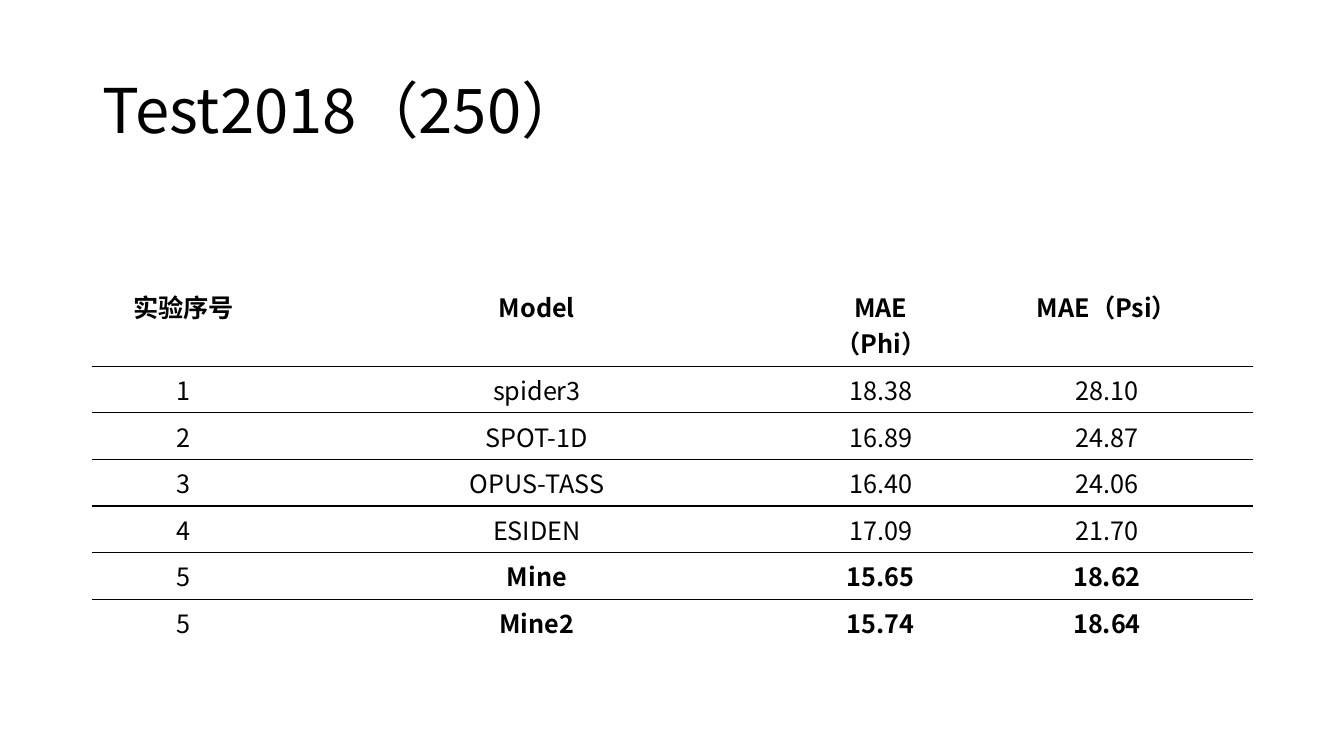
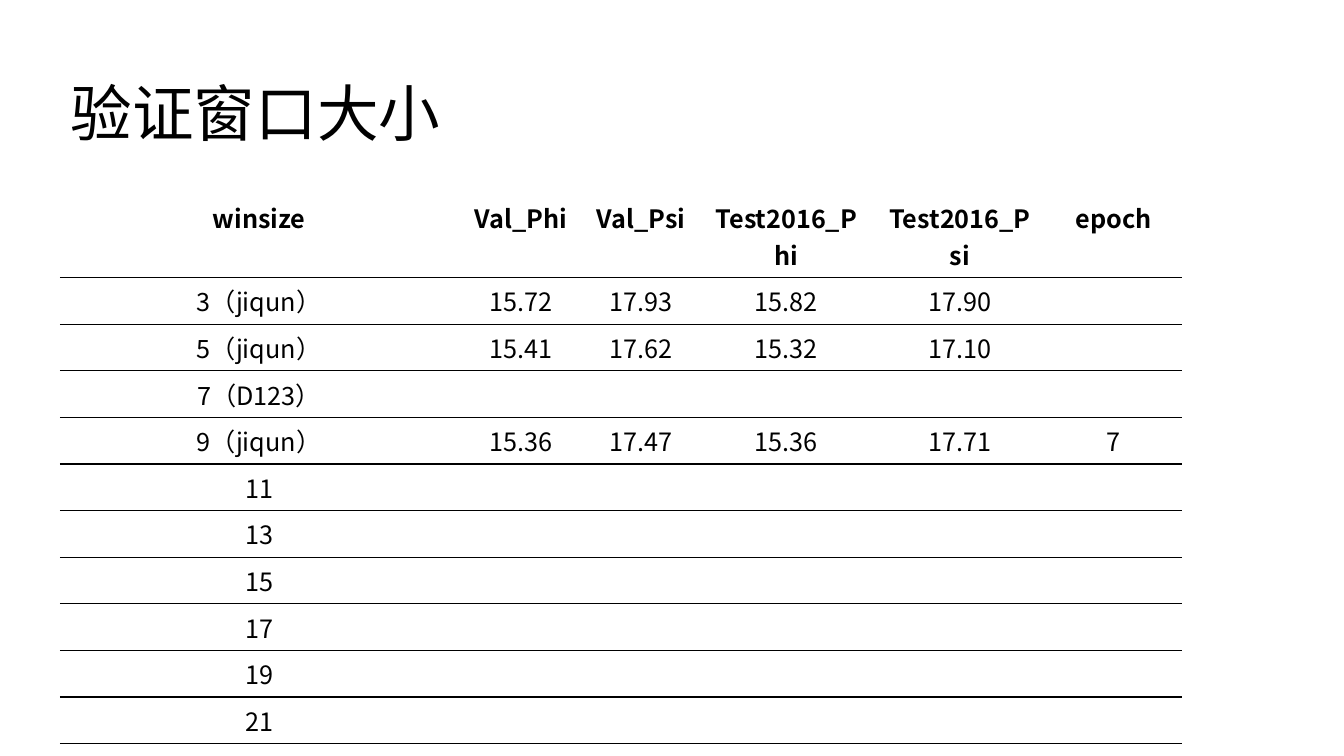
"""Build two slides of experiment results, each a title above a ruled table."""
from dataclasses import dataclass

from lxml import etree
from pptx import Presentation
from pptx.dml.color import RGBColor
from pptx.enum.text import MSO_ANCHOR, MSO_AUTO_SIZE, PP_ALIGN
from pptx.oxml.ns import qn
from pptx.util import Inches, Pt

CENTER = PP_ALIGN.CENTER
LEFT = PP_ALIGN.LEFT
MIDDLE = MSO_ANCHOR.MIDDLE
NO_AUTOFIT = MSO_AUTO_SIZE.NONE

COLORS = {"text": "000000", "rule": "000000", "background": "FFFFFF"}
FONT = "Noto Sans CJK SC"
TITLE_SIZE = 44
TABLE_SIZE = 18
ROW_HEIGHT = 0.41
TITLE_HEIGHT = 1.45
TITLE_ONLY_LAYOUT = 5


@dataclass(frozen=True)
class ResultSlide:
    title: str
    left: float
    title_top: float
    title_width: float
    table_top: float
    column_widths: tuple[float, ...]
    header: tuple[str, ...]
    rows: tuple[tuple[str, ...], ...]
    bold_labels: tuple[str, ...] = ()
    closing_rule: bool = False


RESULT_SLIDES = (
    ResultSlide(
        title="Test2018（250）",
        left=0.92,
        title_top=0.4,
        title_width=11.5,
        table_top=2.81,
        column_widths=(1.8, 5.21, 1.61, 2.88),
        header=("实验序号", "Model", "MAE（Phi）", "MAE（Psi）"),
        rows=(
            ("1", "spider3", "18.38", "28.10"),
            ("2", "SPOT-1D", "16.89", "24.87"),
            ("3", "OPUS-TASS", "16.40", "24.06"),
            ("4", "ESIDEN", "17.09", "21.70"),
            ("5", "Mine", "15.65", "18.62"),
            ("5", "Mine2", "15.74", "18.64"),
        ),
        bold_labels=("Mine", "Mine2"),
    ),
    ResultSlide(
        title="验证窗口大小",
        left=0.6,
        title_top=0.43,
        title_width=12.09,
        table_top=1.93,
        column_widths=(3.94, 1.25, 1.14, 1.74, 1.7, 1.35),
        header=("winsize", "Val_Phi", "Val_Psi", "Test2016_Phi", "Test2016_Psi", "epoch"),
        rows=(
            ("3（jiqun）", "15.72", "17.93", "15.82", "17.90"),
            ("5（jiqun）", "15.41", "17.62", "15.32", "17.10"),
            ("7（D123）",),
            ("9（jiqun）", "15.36", "17.47", "15.36", "17.71", "7"),
            *((str(size),) for size in range(11, 22, 2)),
        ),
        closing_rule=True,
    ),
)


def style_paragraph(paragraph, size: float, alignment, bold: bool = False) -> None:
    paragraph.alignment = alignment
    font = paragraph.font
    font.size = Pt(size)
    font.bold = bold
    font.color.rgb = RGBColor.from_string(COLORS["text"])
    font.name = FONT
    default_properties = paragraph._p.pPr.find(qn("a:defRPr"))
    etree.SubElement(default_properties, qn("a:ea"), typeface=FONT)


def set_borders(cell, top: str, bottom: str) -> None:
    sides = {"L": "background", "R": "background", "T": top, "B": bottom}
    properties = cell._tc.get_or_add_tcPr()
    for side, color in sides.items():
        line = etree.SubElement(properties, qn(f"a:ln{side}"), w=str(Pt(1)))
        fill = etree.SubElement(line, qn("a:solidFill"))
        etree.SubElement(fill, qn("a:srgbClr"), val=COLORS[color])


def format_title(slide, content: ResultSlide) -> None:
    title = slide.shapes.title
    title.left, title.top = Inches(content.left), Inches(content.title_top)
    title.width, title.height = Inches(content.title_width), Inches(TITLE_HEIGHT)
    frame = title.text_frame
    frame.text = content.title
    frame.word_wrap = True
    frame.auto_size = NO_AUTOFIT
    frame.vertical_anchor = MIDDLE
    paragraph = frame.paragraphs[0]
    paragraph.line_spacing = 0.9
    style_paragraph(paragraph, TITLE_SIZE, LEFT)


def add_result_table(slide, content: ResultSlide) -> None:
    rows = (content.header, *content.rows)
    last_row = len(rows) - 1
    table = slide.shapes.add_table(
        len(rows),
        len(content.header),
        Inches(content.left),
        Inches(content.table_top),
        Inches(sum(content.column_widths)),
        Inches(ROW_HEIGHT * len(rows)),
    ).table
    table.first_row = False
    table.horz_banding = False
    for column, width in zip(table.columns, content.column_widths):
        column.width = Inches(width)
    for row_index, values in enumerate(rows):
        table.rows[row_index].height = Inches(ROW_HEIGHT)
        top = "rule" if row_index > 0 else "background"
        bottom = "rule" if row_index < last_row or content.closing_rule else "background"
        highlighted = any(label in values for label in content.bold_labels)
        for column_index in range(len(content.header)):
            cell = table.cell(row_index, column_index)
            set_borders(cell, top, bottom)
            cell.fill.solid()
            cell.fill.fore_color.rgb = RGBColor.from_string(COLORS["background"])
            if column_index < len(values):
                cell.text = values[column_index]
            bold = row_index == 0 or (highlighted and column_index > 0)
            style_paragraph(cell.text_frame.paragraphs[0], TABLE_SIZE, CENTER, bold)


def main() -> None:
    presentation = Presentation()
    presentation.slide_width = Inches(13.33)
    presentation.slide_height = Inches(7.5)
    layout = presentation.slide_layouts[TITLE_ONLY_LAYOUT]
    for content in RESULT_SLIDES:
        slide = presentation.slides.add_slide(layout)
        format_title(slide, content)
        add_result_table(slide, content)
    presentation.save("out.pptx")


if __name__ == "__main__":
    main()
